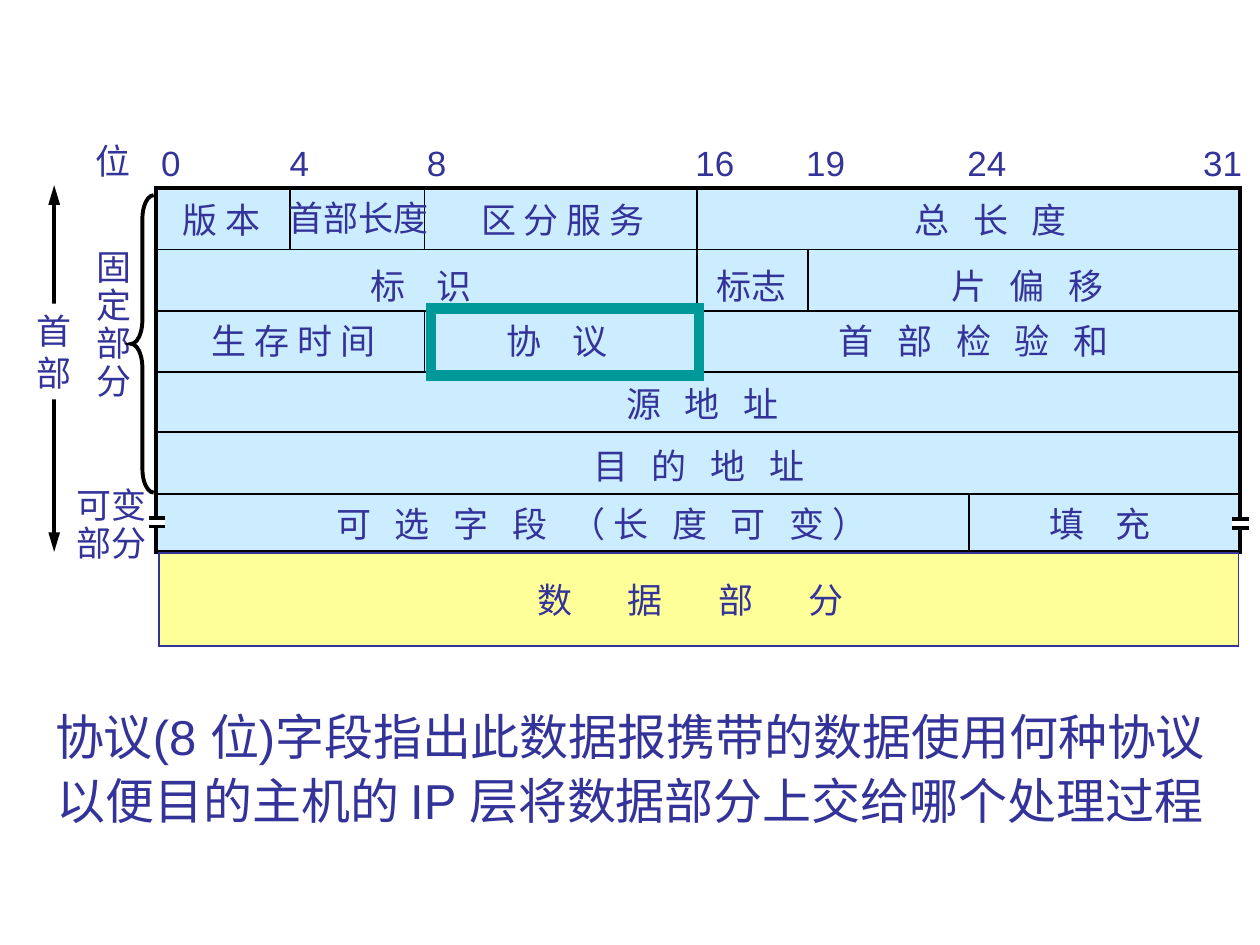
from dataclasses import dataclass

from lxml.etree import SubElement
from pptx import Presentation
from pptx.dml.color import RGBColor
from pptx.enum.shapes import MSO_CONNECTOR, MSO_SHAPE
from pptx.enum.text import MSO_ANCHOR, MSO_AUTO_SIZE, PP_ALIGN
from pptx.oxml.ns import qn
from pptx.shapes.autoshape import Shape
from pptx.shapes.connector import Connector
from pptx.slide import Slide
from pptx.util import Emu, Pt

PIXEL = 9144
INK = "333399"
BLACK = "000000"
WHITE = "FFFFFF"
SPACE_POINTS = 2.25
SPARE_WIDTH = 60

LEFT, RIGHT = 124, 984
TOP, BOTTOM = 149, 438
ROWS = (198, 247, 295, 343, 392)


@dataclass(frozen=True)
class Label:
    text: str
    left: int
    top: int
    width: int
    height: int = 43
    spaces: int = 1
    line_spacing: float = 1.0
    size: int = 20
    align: PP_ALIGN = PP_ALIGN.LEFT
    fill: str = ""


@dataclass(frozen=True)
class Divider:
    left: int
    top: int
    bottom: int


@dataclass(frozen=True)
class Break:
    left: int
    top: int


BIT_LABELS = [
    Label(text, left, 107, 35 if len(text) == 1 else 51)
    for text, left in (("0", 118), ("4", 220), ("8", 329), ("16", 542),
                       ("19", 630), ("24", 758), ("31", 945))
]

FIELD_LABELS = [
    Label("版 本", 135, 153, 82),
    Label("首部长度", 219, 151, 131),
    Label("区 分 服 务", 372, 153, 150),
    Label("总 长 度", 716, 153, 141, spaces=3),
    Label("标 识", 284, 205, 100, spaces=4),
    Label("标志", 559, 205, 76),
    Label("片 偏 移", 745, 205, 141, spaces=3),
    Label("生 存 时 间", 158, 249, 150),
    Label("协 议", 392, 249, 100, spaces=4),
    Label("首 部 检 验 和", 656, 249, 234, spaces=3),
    Label("源 地 址", 487, 299, 141, spaces=3),
    Label("目 的 地 址", 461, 348, 187, spaces=3),
    Label("可 选 字 段 （长 度 可 变）", 257, 394, 423, spaces=3),
    Label("填 充", 823, 394, 100, spaces=4),
    Label("数 据 部 分", 417, 454, 318, spaces=7),
]

SIDE_LABELS = [
    Label("首\n部", 19, 241, 48, 76, fill=WHITE),
    Label("位", 66, 106, 48),
    Label("固\n定\n部\n分", 67, 194, 48, 130, line_spacing=0.9),
    Label("可变\n部分", 51, 383, 76, 70, line_spacing=0.9),
]

CAPTION = Label(
    "协议(8 位)字段指出此数据报携带的数据使用何种协议\n"
    "以便目的主机的 IP 层将数据部分上交给哪个处理过程",
    15, 551, 970, 113, line_spacing=1.1, size=28, align=PP_ALIGN.CENTER,
)

DIVIDERS = [
    Divider(230, TOP, 198),
    Divider(337, TOP, 198),
    Divider(337, 247, 295),
    Divider(553, TOP, 295),
    Divider(641, 198, 247),
    Divider(769, 392, BOTTOM),
]

BREAKS = [Break(118, 411), Break(978, 412)]


def px(length: int) -> Emu:
    return Emu(length * PIXEL)


def color(value: str) -> RGBColor:
    return RGBColor.from_string(value)


def draw_shape(page: Slide, kind: MSO_SHAPE, left: int, top: int, width: int,
               height: int, fill: str = "", line: str = "",
               weight: float = 1) -> Shape:
    shape = page.shapes.add_shape(kind, px(left), px(top), px(width), px(height))
    shape.shadow.inherit = False
    if fill:
        shape.fill.solid()
        shape.fill.fore_color.rgb = color(fill)
    else:
        shape.fill.background()
    if line:
        shape.line.color.rgb = color(line)
        shape.line.width = Pt(weight)
        outline = shape._element.spPr.find(qn("a:ln"))
        SubElement(outline, qn("a:miter"), lim="800000")
    else:
        shape.line.fill.background()
    return shape


def draw_line(page: Slide, left: int, top: int, right: int, bottom: int,
              weight: float = 1) -> Connector:
    line = page.shapes.add_connector(
        MSO_CONNECTOR.STRAIGHT, px(left), px(top), px(right), px(bottom))
    line.line.color.rgb = color(BLACK)
    line.line.width = Pt(weight)
    SubElement(line._element.spPr, qn("a:effectLst"))
    return line


def draw_double_arrow(page: Slide, left: int, top: int, bottom: int) -> None:
    arrow = draw_line(page, left, top, left, bottom, 2.25)
    outline = arrow._element.spPr.find(qn("a:ln"))
    for end in ("a:headEnd", "a:tailEnd"):
        SubElement(outline, qn(end), type="triangle", w="med", len="lg")


def draw_label(page: Slide, label: Label) -> None:
    gap = SPACE_POINTS * (label.spaces - 1)
    width = label.width + (SPARE_WIDTH if gap else 0)
    box = page.shapes.add_textbox(
        px(label.left), px(label.top), px(width), px(label.height))
    if label.fill:
        box.fill.solid()
        box.fill.fore_color.rgb = color(label.fill)
    frame = box.text_frame
    frame.text = label.text
    frame.word_wrap = bool(gap)
    frame.auto_size = MSO_AUTO_SIZE.SHAPE_TO_FIT_TEXT
    frame.vertical_anchor = MSO_ANCHOR.TOP
    for para in frame.paragraphs:
        para.alignment = label.align
        para.line_spacing = label.line_spacing
        for span in para.runs:
            span.font.name = "Arial"
            span.font.size = Pt(label.size)
            span.font.color.rgb = color(INK)
            if gap:
                span._r.get_or_add_rPr().set("spc", str(round(gap * 100)))


def draw_break(page: Slide, mark: Break) -> None:
    draw_shape(page, MSO_SHAPE.RECTANGLE, mark.left, mark.top, 13, 7, WHITE)
    for top in (mark.top, mark.top + 7):
        draw_line(page, mark.left, top, mark.left + 13, top, 2)


def main() -> None:
    deck = Presentation()
    deck.slide_width, deck.slide_height = px(1000), px(750)
    page = deck.slides.add_slide(deck.slide_layouts[6])
    draw_double_arrow(page, 43, 147, BOTTOM)
    draw_shape(page, MSO_SHAPE.RECTANGLE, LEFT, TOP, RIGHT - LEFT,
               BOTTOM - TOP, "CCECFF", BLACK, 2)
    draw_shape(page, MSO_SHAPE.RECTANGLE, 126, 439, 857, 74, "FFFF99", INK)
    for row in ROWS:
        draw_line(page, LEFT, row, RIGHT, row)
    for divider in DIVIDERS:
        draw_line(page, divider.left, divider.top, divider.left, divider.bottom)
    for mark in BREAKS:
        draw_break(page, mark)
    for label in [*BIT_LABELS, *FIELD_LABELS, *SIDE_LABELS, CAPTION]:
        draw_label(page, label)
    draw_shape(page, MSO_SHAPE.RECTANGLE, 342, 245, 213, 53,
               line="009999", weight=6)
    brace = draw_shape(page, MSO_SHAPE.LEFT_BRACE, 104, 155, 18, 236,
                       line=BLACK, weight=2.25)
    brace.adjustments[0] = 1.05
    deck.save("out.pptx")


if __name__ == "__main__":
    main()
